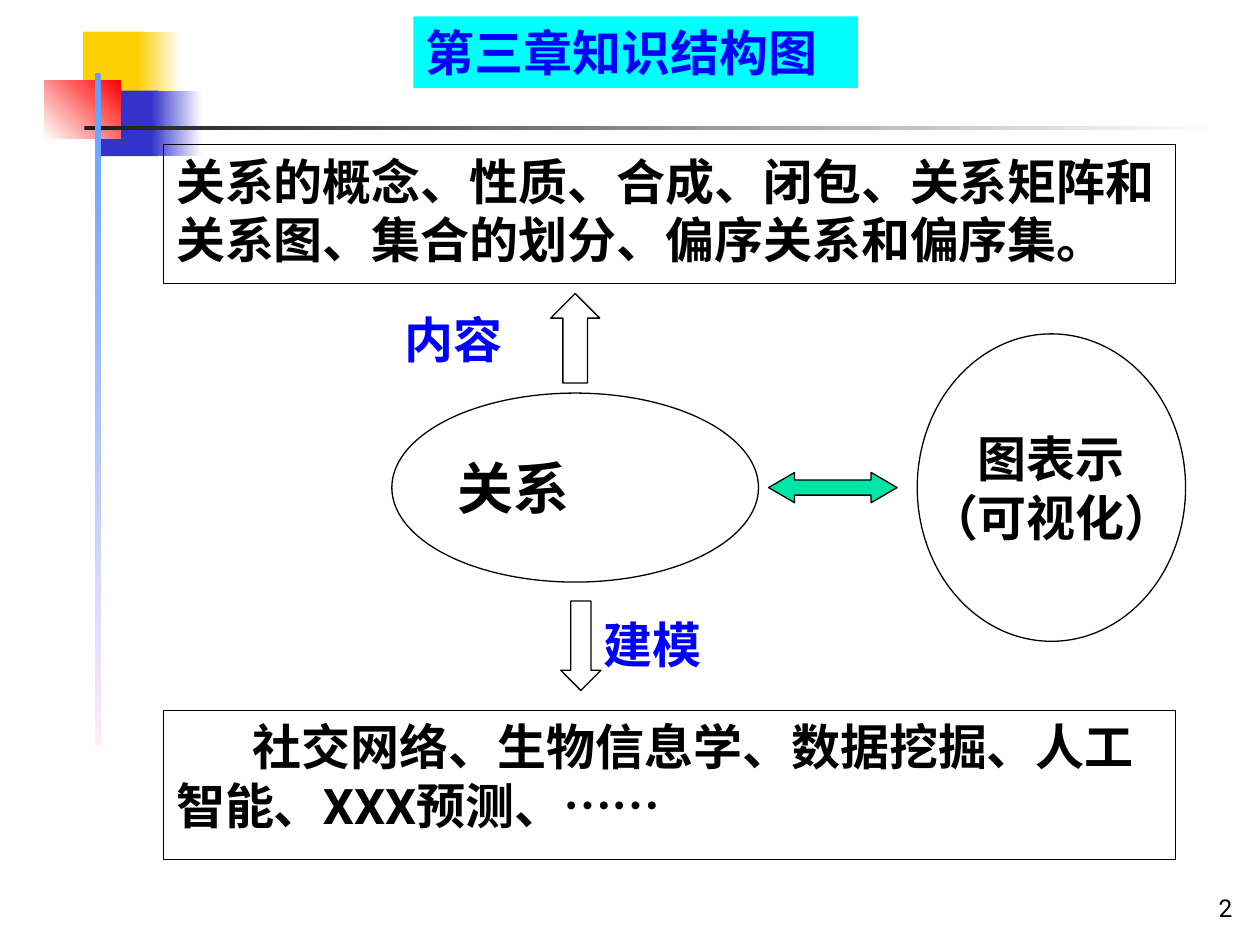
from lxml import etree
from pptx import Presentation
from pptx import util as u
from pptx.dml.color import RGBColor
from pptx.enum import shapes, text
from pptx.oxml.ns import qn

BLACK = RGBColor(0x00, 0x00, 0x00)
WHITE = RGBColor(0xFF, 0xFF, 0xFF)
BLUE = RGBColor(0x00, 0x00, 0xFF)
CYAN = RGBColor(0x00, 0xFF, 0xFF)
GREEN = RGBColor(0x00, 0xE4, 0xA8)
GOLD = RGBColor(0xFF, 0xCF, 0x01)
INDIGO = RGBColor(0x33, 0x33, 0xCC)
RED = RGBColor(0xFF, 0x00, 0x00)
CHARCOAL = RGBColor(0x1C, 0x1C, 0x1C)
SKY = RGBColor(0x5E, 0x9E, 0xFF)
PINK = RGBColor(0xFF, 0xEB, 0xFA)

SANS, SERIF, CJK = "Roboto", "Times New Roman", "Noto Sans CJK SC"
MSO, ALIGN, ANCHOR = shapes.MSO_SHAPE, text.PP_ALIGN, text.MSO_ANCHOR
BOX_LEFT, BOX_WIDTH = 1.3, 8.03


def inches(*lengths):
    return [u.Inches(n) for n in lengths]


def write(sp, lines, font=SANS, size=28, color=BLACK, bold=True,
          align=ALIGN.LEFT, anchor=ANCHOR.TOP, wrap=True):
    """Put text in a shape, one paragraph a line."""
    tf = sp.text_frame
    tf.text = lines
    tf.word_wrap = wrap
    tf.vertical_anchor = anchor
    for p in tf.paragraphs:
        p.alignment = align
        for r in p.runs:
            r.font.size, r.font.bold, r.font.name = u.Pt(size), bold, font
            r.font.color.rgb = color
            etree.SubElement(r.font._element, qn("a:ea"), typeface=CJK)
    return tf


def add_decor(s, at, start, end=None, angle=0):
    """Borderless bar, plain or with a gradient; angle runs clockwise."""
    sp = s.shapes.add_shape(MSO.RECTANGLE, *inches(*at))
    sp.shadow.inherit = False
    sp.line.fill.background()
    if end is None:
        sp.fill.solid()
        sp.fill.fore_color.rgb = start
        return
    sp.fill.gradient()
    sp.fill.gradient_angle = 360 - angle
    for stop, color in zip(sp.fill.gradient_stops, (start, end)):
        stop.color.rgb = color


def add_outlined(s, kind, at, fill=None, adjustments=()):
    sp = s.shapes.add_shape(kind, *inches(*at))
    sp.shadow.inherit = False
    sp.line.color.rgb = BLACK
    sp.line.width = u.Pt(0.75)
    if fill is None:
        sp.fill.background()
    else:
        sp.fill.solid()
        sp.fill.fore_color.rgb = fill
    for i, value in enumerate(adjustments):
        sp.adjustments[i] = value
    return sp


def add_label(s, at, words, **style):
    write(s.shapes.add_textbox(*inches(*at)), words, **style)


def add_title(s, at, words):
    sp = s.shapes.title
    sp.left, sp.top, sp.width, sp.height = inches(*at)
    sp.fill.solid()
    sp.fill.fore_color.rgb = CYAN
    tf = write(sp, words, font=CJK, color=BLUE)
    tf.auto_size = text.MSO_AUTO_SIZE.NONE


def add_decoration(s):
    add_decor(s, (0.66, 0.25, 0.48, 0.52), GOLD)
    add_decor(s, (1.08, 0.25, 0.36, 0.52), GOLD, WHITE)
    add_decor(s, (0.8, 0.72, 0.46, 0.52), INDIGO)
    add_decor(s, (1.2, 0.72, 0.4, 0.52), INDIGO, WHITE)
    add_decor(s, (0.35, 0.64, 0.61, 0.46), WHITE, RED, 315)
    add_decor(s, (0.67, 1, 9, 0.03), CHARCOAL, WHITE)
    add_decor(s, (0.75, 0.58, 0.05, 5.33), SKY, PINK, 90)


def main():
    prs = Presentation()
    prs.slide_width, prs.slide_height = inches(10, 7.5)
    s = prs.slides.add_slide(prs.slide_layouts[5])

    # Corner squares, rules, title and page number
    add_decoration(s)
    add_title(s, (3.28, 0.13, 3.53, 0.57), "第三章知识结构图")
    add_label(s, (7.8, 6.87, 2.08, 0.5), "2", size=14, bold=False,
              align=ALIGN.RIGHT, anchor=ANCHOR.BOTTOM)

    # Central idea and its visual form
    sp = add_outlined(s, MSO.OVAL, (3.11, 3.12, 2.91, 1.5))
    write(sp, "关系", size=32, anchor=ANCHOR.MIDDLE, wrap=False)
    sp = add_outlined(s, MSO.OVAL, (7.28, 2.65, 2.13, 2.44))
    write(sp, "图表示\n（可视化）", font=SERIF, align=ALIGN.CENTER,
          anchor=ANCHOR.MIDDLE, wrap=False)
    add_outlined(s, MSO.LEFT_RIGHT_ARROW, (6.1, 3.75, 1.02, 0.24), GREEN,
                 (0.5, 0.86))

    # Contents above
    sp = add_outlined(s, MSO.RECTANGLE, (BOX_LEFT, 1.15, BOX_WIDTH, 1.1))
    write(sp, "关系的概念、性质、合成、闭包、关系矩阵和关系图、"
              "集合的划分、偏序关系和偏序集。")
    add_outlined(s, MSO.UP_ARROW, (4.37, 2.33, 0.39, 0.71), None, (0.5, 0.5))
    add_label(s, (3.11, 2.41, 1.42, 0.57), "内容", font=SERIF, color=BLUE)

    # Modelling applications below, with a first-line indent
    sp = add_outlined(s, MSO.RECTANGLE, (BOX_LEFT, 5.64, BOX_WIDTH, 1.18))
    tf = write(sp, "社交网络、生物信息学、数据挖掘、人工智能、XXX预测、……")
    pPr = tf.paragraphs[0]._p.get_or_add_pPr()
    pPr.set("indent", str(u.Inches(0.61)))
    add_outlined(s, MSO.DOWN_ARROW, (4.45, 4.77, 0.32, 0.71), None, (0.5, 0.5))
    add_label(s, (4.69, 4.83, 1.41, 0.57), "建模", font=SERIF, color=BLUE)

    prs.save("out.pptx")


if __name__ == "__main__":
    main()
